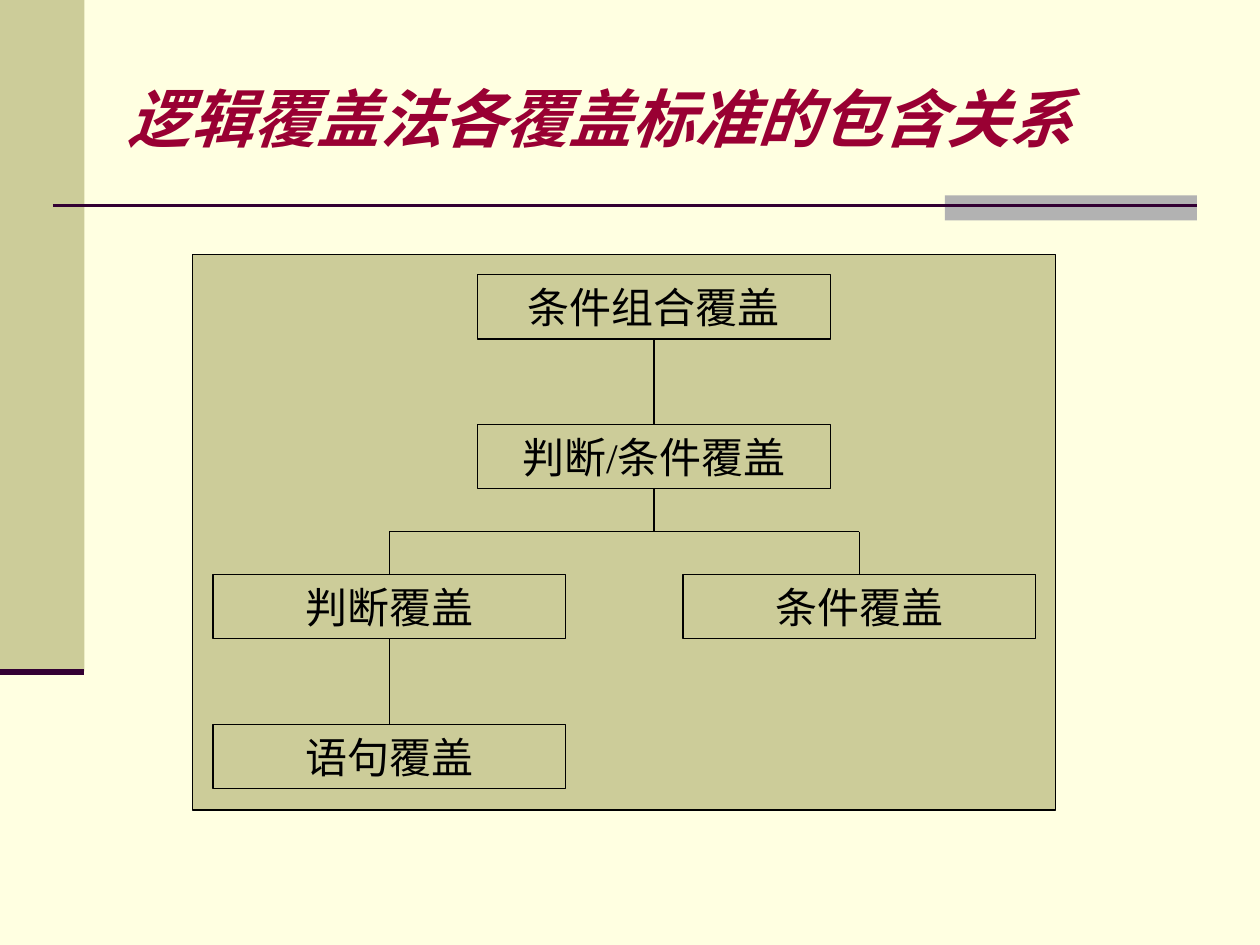
from pptx import Presentation
from pptx.dml.color import RGBColor
from pptx.enum.shapes import MSO_CONNECTOR, MSO_SHAPE
from pptx.enum.text import MSO_ANCHOR, PP_ALIGN
from pptx.oxml.ns import qn
from pptx.util import Inches, Pt
from lxml.etree import SubElement

COLORS = {"cream": "FFFFE1", "khaki": "CCCC99", "gray": "B2B2B2",
          "plum": "330033", "crimson": "990033", "black": "000000"}
RGB = {name: RGBColor.from_string(value) for name, value in COLORS.items()}
FONT = "Times New Roman"

prs = Presentation()
prs.slide_width, prs.slide_height = Inches(10), Inches(7.5)
s = prs.slides.add_slide(prs.slide_layouts[6])
s.background.fill.solid()
s.background.fill.fore_color.rgb = RGB["cream"]


def add_rect(x, y, w, h, fill=None, outlined=False):
    """Add a rectangle with an optional fill and thin black outline."""
    sp = s.shapes.add_shape(MSO_SHAPE.RECTANGLE, Inches(x), Inches(y), Inches(w), Inches(h))
    sp.shadow.inherit = False
    if fill:
        sp.fill.solid()
        sp.fill.fore_color.rgb = RGB[fill]
    else:
        sp.fill.background()
    if outlined:
        sp.line.color.rgb = RGB["black"]
        sp.line.width = Pt(0.75)
    else:
        sp.line.fill.background()
    return sp


def add_line(x1, y1, x2, y2, color="black", width=0.75):
    """Add a straight line without a shadow."""
    line = s.shapes.add_connector(MSO_CONNECTOR.STRAIGHT, Inches(x1), Inches(y1),
                                  Inches(x2), Inches(y2))
    line.line.color.rgb = RGB[color]
    line.line.width = Pt(width)
    SubElement(line._element.spPr, qn("a:effectLst"))


# Side band and title rule
add_rect(0, 0, 0.67, 5.33, "khaki")
add_rect(7.5, 1.55, 2, 0.2, "gray")
add_line(0.42, 1.63, 9.5, 1.63, "plum", 1.5)
add_line(0, 5.33, 0.67, 5.33, "plum", 3.5)

# Title
title = s.shapes.add_textbox(Inches(1.01), Inches(0.64), Inches(8.76), Inches(0.58))
tf = title.text_frame
tf.word_wrap = True
tf.vertical_anchor = MSO_ANCHOR.MIDDLE
tf.margin_left = tf.margin_right = tf.margin_top = tf.margin_bottom = 0
p = tf.paragraphs[0]
p.text = "逻辑覆盖法各覆盖标准的包含关系"
p.font.name, p.font.size = FONT, Pt(36)
p.font.bold = p.font.italic = True
p.font.color.rgb = RGB["crimson"]

# Coverage hierarchy: each box is (centre, row, label)
add_rect(1.53, 2.02, 6.85, 4.41, "khaki", outlined=True)
BOX_W, BOX_H = 2.8, 0.51
LEFT, MID, RIGHT = 3.09, 5.19, 6.82
tops = [2.18 + 1.19 * row for row in range(4)]
bottoms = [top + BOX_H for top in tops]
boxes = [(MID, 0, "条件组合覆盖"), (MID, 1, "判断/条件覆盖"),
         (LEFT, 2, "判断覆盖"), (RIGHT, 2, "条件覆盖"), (LEFT, 3, "语句覆盖")]
for center, row, label in boxes:
    sp = add_rect(center - BOX_W / 2, tops[row], BOX_W, BOX_H, outlined=True)
    tf = sp.text_frame
    tf.vertical_anchor = MSO_ANCHOR.MIDDLE
    p = tf.paragraphs[0]
    p.text = label
    p.alignment = PP_ALIGN.CENTER
    p.font.name, p.font.size = FONT, Pt(24)
    p.font.color.rgb = RGB["black"]

# Links between boxes, with a fork halfway between the second and third rows
fork = (bottoms[1] + tops[2]) / 2
add_line(LEFT, fork, RIGHT, fork)
for x, y1, y2 in [(MID, bottoms[0], tops[1]), (MID, bottoms[1], fork),
                  (LEFT, fork, tops[2]), (RIGHT, fork, tops[2]),
                  (LEFT, bottoms[2], tops[3])]:
    add_line(x, y1, x, y2)

prs.save("out.pptx")
